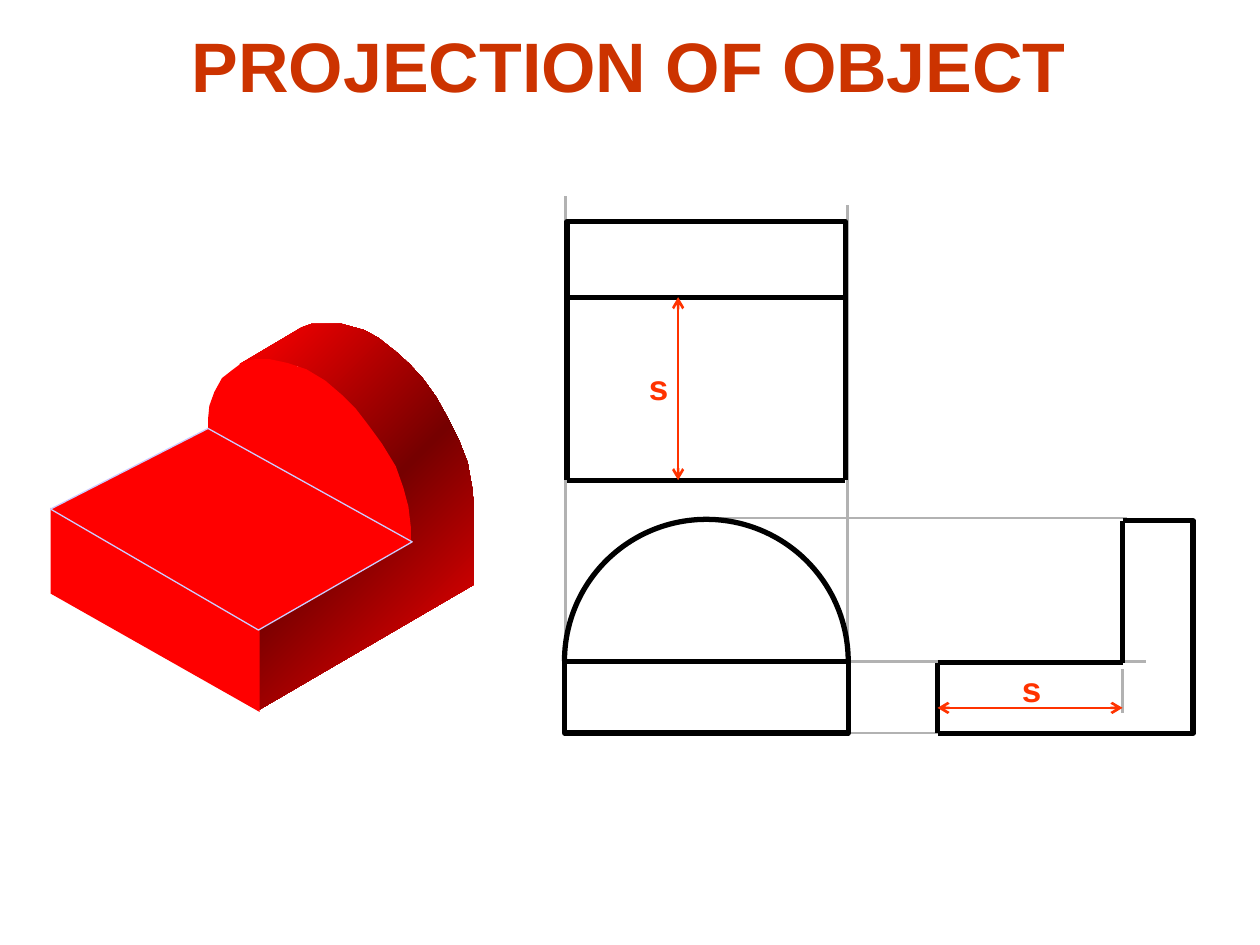
from copy import deepcopy

from lxml import etree
from pptx import Presentation
from pptx.dml.color import RGBColor
from pptx.enum.shapes import MSO_CONNECTOR, MSO_SHAPE
from pptx.enum.text import MSO_AUTO_SIZE, PP_ALIGN
from pptx.oxml.ns import qn
from pptx.util import Cm, Pt

STRAIGHT = MSO_CONNECTOR.STRAIGHT
RECTANGLE, ARC = MSO_SHAPE.RECTANGLE, MSO_SHAPE.ARC
LEFT, CENTER = PP_ALIGN.LEFT, PP_ALIGN.CENTER
FIT_SHAPE = MSO_AUTO_SIZE.SHAPE_TO_FIT_TEXT

BLACK, GRAY, RED = "000000", "B2B2B2", "FF0000"
DARK_RED, DIMENSION, EDGE, TITLE = "760000", "FF3300", "CCCCFF", "CC3300"
THICK, THIN = 3, 1.5

# Faces of the solid, on a grid that starts at the top left of its box
GRID = Cm(0.0254)
CURVED_SIDE = [
    (150, 32), (199, 3), (207, 0), (231, 0), (249, 5), (260, 11), (274, 22),
    (285, 32), (296, 44), (306, 58), (316, 76), (324, 92), (331, 110), (335, 132),
    (336, 149), (336, 207), (166, 306), (166, 241), (286, 172), (286, 160),
    (283, 146), (278, 130), (272, 115), (264, 100), (256, 86), (246, 74), (234, 60),
    (222, 49), (207, 39), (196, 33), (181, 31), (168, 29), (158, 29)]
FRONT_FACE = [(166, 308), (166, 242), (0, 146), (0, 214)]
ROUND_FACE = [
    (286, 173), (286, 162), (284, 145), (280, 130), (274, 113), (263, 95), (252, 80),
    (242, 67), (232, 57), (218, 45), (203, 36), (188, 31), (174, 28), (162, 28),
    (153, 30), (145, 36), (136, 43), (130, 54), (126, 65), (125, 75), (125, 83)]
TOP_FACE = [(165, 243), (287, 173), (125, 83), (0, 147)]


def rgb(color):
    return RGBColor.from_string(color)


def style_shape(shape, fill=None, line=None, width=THICK):
    shape.shadow.inherit = False
    if fill:
        shape.fill.solid()
        shape.fill.fore_color.rgb = rgb(fill)
    else:
        shape.fill.background()
    if line:
        shape.line.color.rgb = rgb(line)
        shape.line.width = Pt(width)
    else:
        shape.line.fill.background()


def add_line(slide, x1, y1, x2, y2, color=BLACK, width=THICK, arrows=False):
    line = slide.shapes.add_connector(STRAIGHT, Cm(x1), Cm(y1), Cm(x2), Cm(y2))
    line.line.color.rgb = rgb(color)
    line.line.width = Pt(width)
    if arrows:
        outline = line.line._get_or_add_ln()
        for end in ("a:headEnd", "a:tailEnd"):
            etree.SubElement(outline, qn(end), type="arrow")
    etree.SubElement(line._element.spPr, qn("a:effectLst"))


def add_path(slide, left, top, points, scale=1, close=True, **style):
    builder = slide.shapes.build_freeform(*points[0], scale=scale)
    builder.add_line_segments(points[1:], close=close)
    shape = builder.convert_to_shape(Cm(left), Cm(top))
    style_shape(shape, **style)
    return shape


def add_open_outline(slide, left, top, points):
    add_path(slide, left, top, [(Cm(x), Cm(y)) for x, y in points],
             close=False, line=BLACK)


def add_text(slide, text, left, top, width, height, size=20, color=DIMENSION,
             align=LEFT):
    box = slide.shapes.add_textbox(Cm(left), Cm(top), Cm(width), Cm(height))
    box.text_frame.word_wrap = False
    box.text_frame.auto_size = FIT_SHAPE
    paragraph = box.text_frame.paragraphs[0]
    paragraph.text = text
    paragraph.alignment = align
    font = paragraph.font
    font.name, font.size, font.bold = "Arial", Pt(size), True
    font.color.rgb = rgb(color)


def shade(shape):
    """Fill with a diagonal gradient that is darkest in the middle."""
    fill = shape.fill
    fill.gradient()
    fill.gradient_angle = 315
    stop_list = shape._element.spPr.find(".//" + qn("a:gsLst"))
    stop_list.insert(1, deepcopy(stop_list[0]))
    for stop, position, color in zip(fill.gradient_stops, (0, 0.5, 1),
                                     (RED, DARK_RED, RED)):
        stop.position = position
        stop.color.rgb = rgb(color)


def draw_projection_lines(slide):
    for ends in ((11.4, 13.41, 11.4, 3.96), (17.09, 13.59, 17.09, 4.14),
                 (16.76, 13.33, 23.11, 13.33), (16.71, 14.78, 19.46, 14.78),
                 (14.15, 10.44, 22.71, 10.44)):
        add_line(slide, *ends, color=GRAY, width=THIN)


def draw_solid(slide, left, top):
    shade(add_path(slide, left, top, CURVED_SIDE, GRID))
    for face in (FRONT_FACE, ROUND_FACE):
        add_path(slide, left, top, face, GRID, fill=RED)
    add_path(slide, left, top, TOP_FACE, GRID, fill=RED, line=EDGE, width=0.75)


def draw_top_view(slide, left, top, width, height, back):
    """back is the depth of the upright part."""
    right, bottom, middle = left + width, top + height, top + back
    add_open_outline(slide, left, top, [(0, back), (0, 0), (width, 0), (width, back)])
    for x in (left, right):
        add_line(slide, x, middle, x, bottom)
    for y in (middle, bottom):
        add_line(slide, left, y, right, y)
    arrow = left + 2.24
    add_line(slide, arrow, bottom, arrow, middle, DIMENSION, THIN, arrows=True)
    add_text(slide, "s", left + 1.4, top + 2.77, 0.91, 1.09)


def draw_front_view(slide, left, top, width, base):
    """A half circle of the given width on a slab of height base."""
    middle = top + width / 2
    slab = slide.shapes.add_shape(RECTANGLE, Cm(left), Cm(middle), Cm(width), Cm(base))
    style_shape(slab, line=BLACK)
    arc = slide.shapes.add_shape(ARC, Cm(left), Cm(top), Cm(width), Cm(width))
    arc.adjustments[0] = 108  # 180 degrees
    arc.adjustments[1] = 0
    style_shape(arc, line=BLACK)
    add_line(slide, left, middle, left + width, middle)


def draw_side_view(slide, left, top, width, height, step_x, step_y):
    """An L outline whose inner corner is at step_x, step_y."""
    corner_x, corner_y = left + step_x, top + step_y
    add_open_outline(slide, left, top,
                     [(step_x, 0), (width, 0), (width, height), (0, height)])
    add_line(slide, left, top + height, left, corner_y)
    add_line(slide, left, corner_y, corner_x, corner_y)
    add_line(slide, corner_x, top, corner_x, corner_y)
    add_line(slide, corner_x, corner_y + 0.13, corner_x, corner_y + 1.02, GRAY, THIN)
    arrow = top + 3.77
    add_line(slide, left, arrow, corner_x, arrow, DIMENSION, THIN, arrows=True)
    add_text(slide, "s", left + 1.45, top + 2.84, 0.91, 1.09)


def main():
    presentation = Presentation()
    presentation.slide_width, presentation.slide_height = Cm(25.4), Cm(19.05)
    slide = presentation.slides.add_slide(presentation.slide_layouts[6])
    draw_projection_lines(slide)
    draw_solid(slide, 1.02, 6.53)
    draw_front_view(slide, 11.38, 10.47, 5.72, 1.45)
    draw_top_view(slide, 11.43, 4.47, 5.61, 5.21, back=1.52)
    draw_side_view(slide, 18.9, 10.5, 5.15, 4.28, step_x=3.73, step_y=2.86)
    add_text(slide, "PROJECTION OF OBJECT", 3.61, 0.33, 18.14, 1.96,
             size=40, color=TITLE, align=CENTER)
    presentation.save("out.pptx")


if __name__ == "__main__":
    main()
